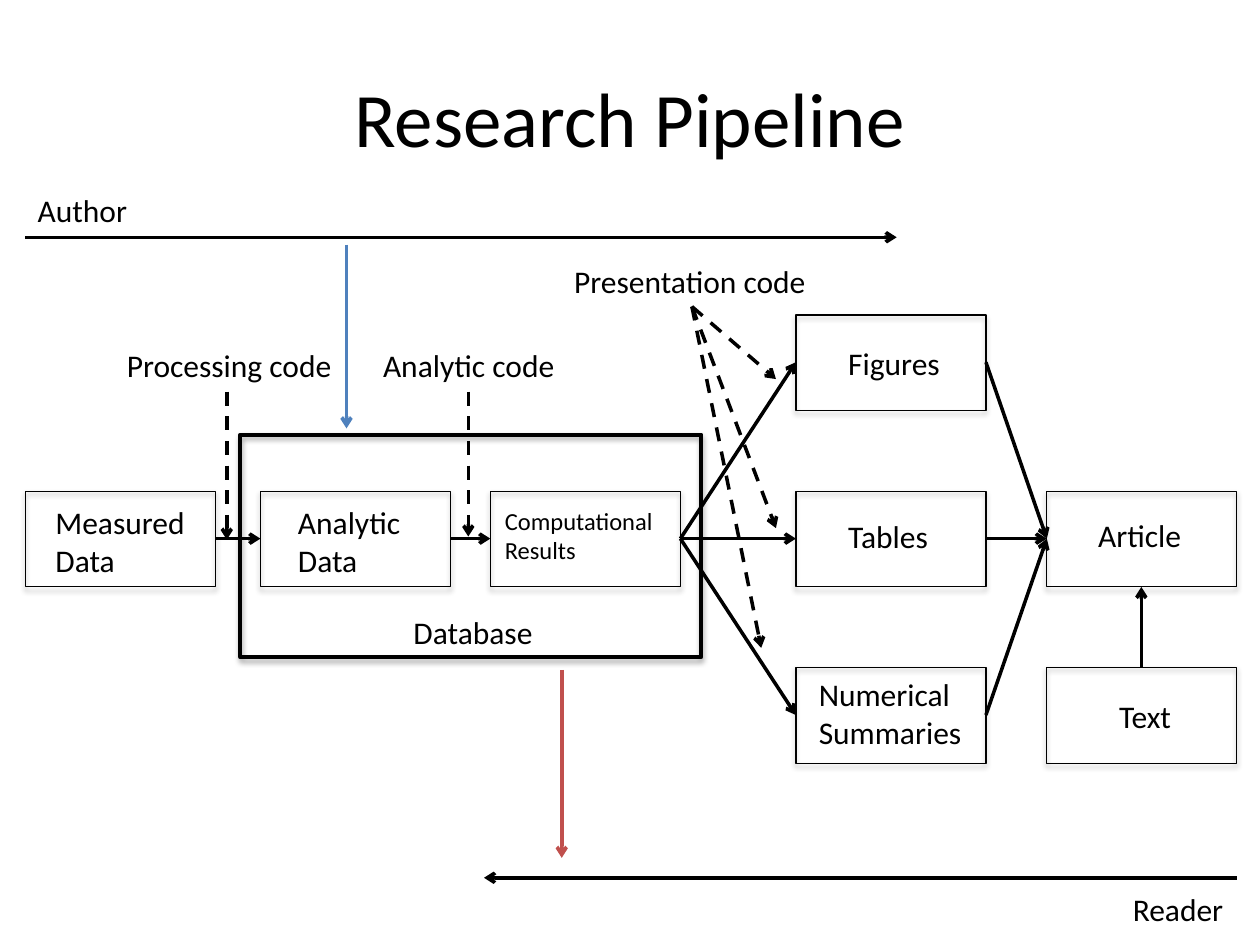
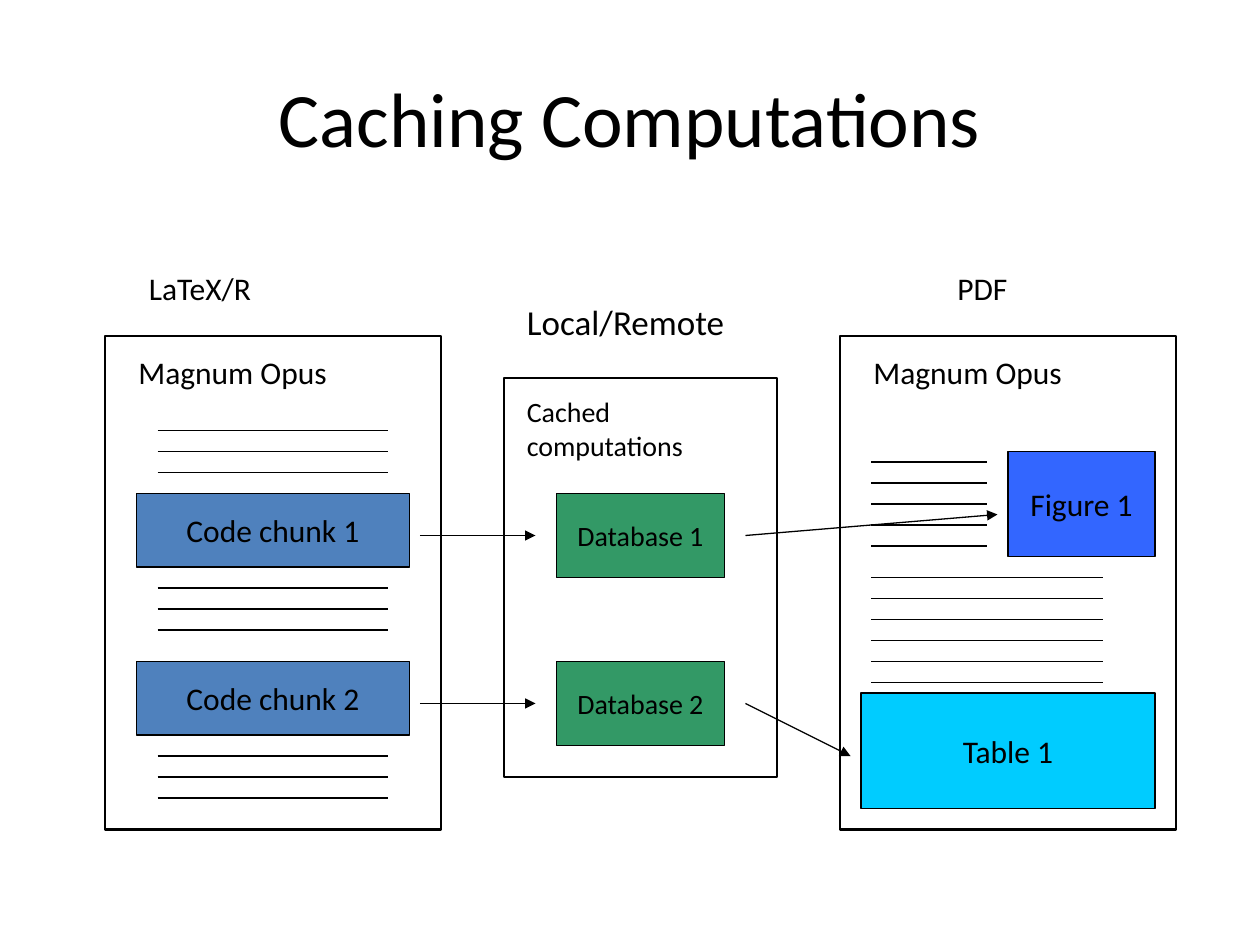
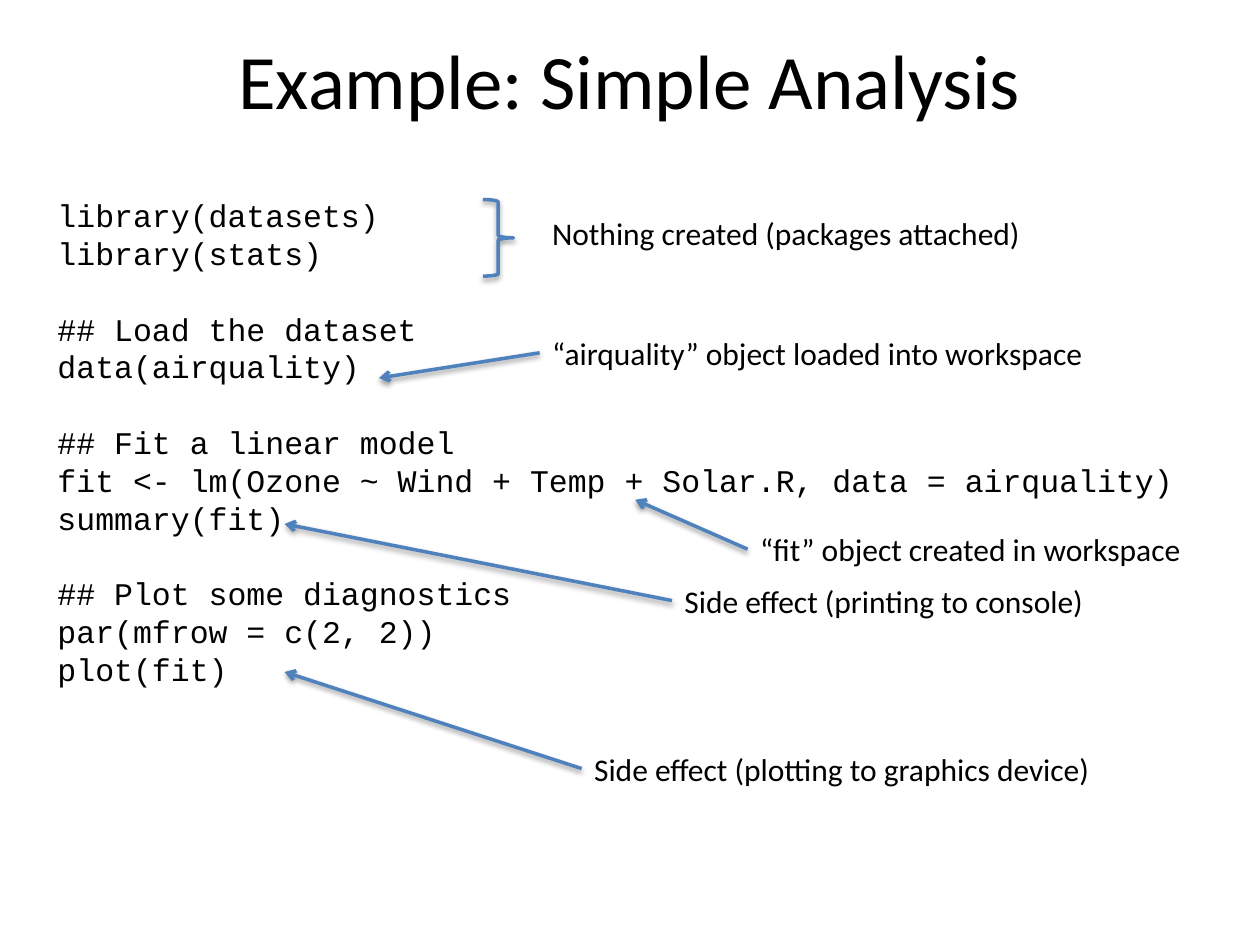
"""Builds three slides on reproducible research with python-pptx."""
from dataclasses import dataclass
from typing import NamedTuple, Optional

from lxml import etree
from pptx import Presentation
from pptx.dml.color import RGBColor
from pptx.enum.dml import MSO_LINE
from pptx.enum.shapes import MSO_CONNECTOR, MSO_SHAPE
from pptx.enum.text import MSO_ANCHOR, PP_ALIGN
from pptx.oxml.ns import qn
from pptx.util import Emu, Pt

STRAIGHT = MSO_CONNECTOR.STRAIGHT
RECT, BRACE = MSO_SHAPE.RECTANGLE, MSO_SHAPE.RIGHT_BRACE
DASH = MSO_LINE.DASH
LEFT, CENTER = PP_ALIGN.LEFT, PP_ALIGN.CENTER
TOP, MIDDLE = MSO_ANCHOR.TOP, MSO_ANCHOR.MIDDLE
EMU_PER_PX = 7620
BLANK = 6


@dataclass(frozen=True)
class Theme:
    """Colours, fonts, type sizes and line weights of the deck."""
    ink: str = "000000"
    blue: str = "4F81BD"
    red: str = "C0504D"
    green: str = "339966"
    royal: str = "3366FF"
    cyan: str = "00CCFF"
    font: str = "Calibri"
    mono: str = "Courier New"
    title: int = 44
    large: int = 20
    body: int = 18
    small: int = 16
    tiny: int = 14
    code_pitch: float = 21.6
    thin: float = 0.75
    medium: float = 1.5
    arrow: float = 2
    frame: float = 2.25
    box_shadow: int = 35
    note_shadow: int = 38


THEME = Theme()


class Label(NamedTuple):
    """A run of text in a box."""
    text: str
    x: int
    y: int
    w: int
    h: int = 48
    size: int = THEME.body


class Box(NamedTuple):
    """An outlined shape, with an optional fill, caption and shadow."""
    x: int
    y: int
    w: int
    h: int
    weight: float = THEME.thin
    fill: Optional[str] = None
    text: str = ""
    size: int = THEME.body
    color: str = THEME.ink
    shadow: int = 0
    kind: MSO_SHAPE = RECT


class Line(NamedTuple):
    """A straight line with an optional arrowhead at its end."""
    x1: int
    y1: int
    x2: int
    y2: int
    weight: float = THEME.arrow
    color: str = THEME.ink
    head: str = "arrow"
    dashed: bool = False
    shadow: int = 0


class Node(NamedTuple):
    """A pipeline stage: its corner and its label."""
    x: int
    y: int
    label: Label

    @property
    def mid_x(self) -> int:
        """Horizontal centre."""
        return self.x + NODE_W // 2

    @property
    def mid_y(self) -> int:
        """Vertical centre."""
        return self.y + NODE_H // 2


class Rules(NamedTuple):
    """A stack of evenly spaced lines standing for prose."""
    x: int
    y: int
    w: int
    count: int


class Note(NamedTuple):
    """A remark, and the point in the code its arrow reaches."""
    text: str
    x: int
    y: int
    w: int
    target: Optional[tuple[int, int]] = None


NODE_W, NODE_H = 181, 91
NODE_ROWS = [300 + 168 * i for i in range(3)]
RULE_PITCH = 20

NODES = {
    "measured": Node(24, NODE_ROWS[1], Label("Measured Data", 41, 473, 158, 85)),
    "analytic": Node(248, NODE_ROWS[1], Label("Analytic Data", 272, 473, 139, 85)),
    "results": Node(467, NODE_ROWS[1], Label("Computational Results", 469, 476, 175, 68, THEME.tiny)),
    "article": Node(997, NODE_ROWS[1], Label("Article", 1034, 486, 133)),
    "tables": Node(758, NODE_ROWS[1], Label("Tables", 796, 487, 113)),
    "figures": Node(758, NODE_ROWS[0], Label("Figures", 796, 322, 126)),
    "summaries": Node(758, NODE_ROWS[2], Label("Numerical Summaries", 768, 637, 175, 85)),
    "text": Node(997, NODE_ROWS[2], Label("Text", 1054, 658, 101)),
}
FLOWS = [
    ("measured", "analytic"), ("analytic", "results"),
    ("results", "figures"), ("results", "tables"), ("results", "summaries"),
    ("figures", "article"), ("summaries", "article"), ("tables", "article"),
]
PIPELINE_LABELS = [
    Label("Author", 24, 176, 114),
    Label("Reader", 1067, 842, 114),
    Label("Processing code", 109, 324, 224),
    Label("Analytic code", 353, 324, 194),
    Label("Presentation code", 535, 244, 250),
    Label("Database", 382, 578, 139),
]
CODE_ARROWS = [
    (216, 373, 216, 514), (446, 373, 446, 511),
    (659, 292, 739, 361), (659, 292, 739, 503), (659, 292, 725, 617),
]
READING_ARROWS = [
    Line(24, 226, 854, 226),
    Line(1178, 836, 461, 836),
    Line(330, 233, 330, 408, color=THEME.blue),
    Line(535, 638, 535, 817, color=THEME.red),
]

CACHE_BOXES = [
    *(Box(x, 320, 320, 470, THEME.medium) for x in (100, 800)),
    Box(480, 360, 260, 380, THEME.medium),
    Box(960, 430, 140, 100, fill=THEME.royal, text="Figure 1"),
    Box(820, 660, 280, 110, fill=THEME.cyan, text="Table 1"),
]
CACHE_ROWS = [470, 630]
CACHE_RULES = [
    *(Rules(150, y, 220, 3) for y in (410, 560, 720)),
    Rules(830, 440, 110, 5),
    Rules(830, 550, 220, 6),
]
CACHE_ARROWS = [
    *((400, y + 40, 510, y + 40) for y in CACHE_ROWS),
    (710, 510, 950, 490), (710, 670, 810, 720),
]
CACHE_LABELS = [
    *(Label("Magnum Opus", x, 330, 287, 60) for x in (120, 820)),
    Label("Cached computations", 490, 370, 240, 77, THEME.small),
    Label("LaTeX/R", 130, 250, 182, 60),
    Label("PDF", 900, 250, 104, 60),
    Label("Local/Remote", 490, 280, 229, 52, THEME.large),
]

CODE_BLOCKS = [
    ["library(datasets)", "library(stats)"],
    ["## Load the dataset", "data(airquality)"],
    ["## Fit a linear model",
     "fit <- lm(Ozone ~ Wind + Temp + Solar.R, data = airquality)",
     "summary(fit)"],
    ["## Plot some diagnostics", "par(mfrow = c(2, 2))", "plot(fit)"],
]
NOTES = [
    Note("Nothing created (packages attached)", 514, 198, 480),
    Note("“airquality” object loaded into workspace", 514, 312, 534, (361, 360)),
    Note("“fit” object created in workspace", 712, 499, 428, (605, 476)),
    Note("Side effect (printing to console)", 640, 548, 408, (271, 499)),
    Note("Side effect (plotting to graphics device)", 554, 708, 505, (271, 640)),
]


def px(*lengths: int) -> list[Emu]:
    """Turn px lengths into EMU."""
    return [Emu(n * EMU_PER_PX) for n in lengths]


def rgb(color: str) -> RGBColor:
    """Turn a hex string into a colour."""
    return RGBColor.from_string(color)


def set_effects(shape, alpha: int) -> None:
    """Give a shape a soft downward shadow, or none when alpha is zero."""
    effects = etree.SubElement(shape.element.spPr, qn("a:effectLst"))
    if alpha:
        shadow = etree.SubElement(effects, qn("a:outerShdw"), blurRad=str(Pt(3.1)),
                                  dist=str(Pt(1.8)), dir="5400000", rotWithShape="0")
        color = etree.SubElement(shadow, qn("a:srgbClr"), val=THEME.ink)
        etree.SubElement(color, qn("a:alpha"), val=str(alpha * 1000))


def format_paragraph(p, size: int, align: PP_ALIGN = LEFT, font: str = THEME.font) -> None:
    """Style one paragraph and its runs."""
    p.alignment = align
    for r in p.runs:
        r.font.size = Pt(size)
        r.font.name = font
        r.font.color.rgb = rgb(THEME.ink)


def add_label(s, label: Label, align: PP_ALIGN = LEFT, anchor: MSO_ANCHOR = TOP) -> None:
    """Draw a text label."""
    tf = s.shapes.add_textbox(*px(label.x, label.y, label.w, label.h)).text_frame
    tf.word_wrap = True
    tf.vertical_anchor = anchor
    tf.text = label.text
    format_paragraph(tf.paragraphs[0], label.size, align)


def add_box(s, box: Box) -> None:
    """Draw an outlined shape."""
    sp = s.shapes.add_shape(box.kind, *px(box.x, box.y, box.w, box.h))
    if box.fill:
        sp.fill.solid()
        sp.fill.fore_color.rgb = rgb(box.fill)
    else:
        sp.fill.background()
    sp.line.color.rgb = rgb(box.color)
    sp.line.width = Pt(box.weight)
    set_effects(sp, box.shadow)
    if box.text:
        tf = sp.text_frame
        tf.word_wrap = False
        tf.vertical_anchor = MIDDLE
        tf.text = box.text
        format_paragraph(tf.paragraphs[0], box.size, CENTER)


def add_line(s, line: Line) -> None:
    """Draw a line or an arrow."""
    c = s.shapes.add_connector(STRAIGHT, *px(line.x1, line.y1, line.x2, line.y2))
    c.line.color.rgb = rgb(line.color)
    c.line.width = Pt(line.weight)
    if line.dashed:
        c.line.dash_style = DASH
    if line.head:
        etree.SubElement(c.element.spPr.find(qn("a:ln")), qn("a:tailEnd"), type=line.head)
    set_effects(c, line.shadow)


def add_slide(prs, title: str, top: int = 36):
    """Add a blank slide with a centred title."""
    s = prs.slides.add_slide(prs.slide_layouts[BLANK])
    add_label(s, Label(title, 60, top, 1080, 150, THEME.title), CENTER, MIDDLE)
    return s


def build_pipeline(prs) -> None:
    """Slide with the path from data to article."""
    s = add_slide(prs, "Research Pipeline")
    for node in NODES.values():
        add_box(s, Box(node.x, node.y, NODE_W, NODE_H, shadow=THEME.box_shadow))
        add_label(s, node.label)
    for start, end in FLOWS:
        a, b = NODES[start], NODES[end]
        add_line(s, Line(a.x + NODE_W, a.mid_y, b.x, b.mid_y))
    text, article = NODES["text"], NODES["article"]
    add_line(s, Line(text.mid_x, text.y, article.mid_x, article.y + NODE_H))
    for ends in CODE_ARROWS:
        add_line(s, Line(*ends, dashed=True))
    for arrow in READING_ARROWS:
        add_line(s, arrow)
    add_box(s, Box(229, 414, 439, 212, THEME.frame, shadow=THEME.box_shadow))
    for label in PIPELINE_LABELS:
        add_label(s, label)


def build_caching(prs) -> None:
    """Slide with code chunks, cached databases and the finished document."""
    s = add_slide(prs, "Caching Computations")
    for box in CACHE_BOXES:
        add_box(s, box)
    for i, y in enumerate(CACHE_ROWS, 1):
        add_box(s, Box(130, y, 260, 70, fill=THEME.blue, text=f"Code chunk {i}"))
        add_box(s, Box(530, y, 160, 80, fill=THEME.green, text=f"Database {i}", size=THEME.small))
    for rules in CACHE_RULES:
        for i in range(rules.count):
            y = rules.y + i * RULE_PITCH
            add_line(s, Line(rules.x, y, rules.x + rules.w, y, THEME.thin, head=""))
    for ends in CACHE_ARROWS:
        add_line(s, Line(*ends, THEME.thin, head="triangle"))
    for label in CACHE_LABELS:
        add_label(s, label)


def add_code(s) -> None:
    """Draw the code listing, with a line of space between blocks."""
    tf = s.shapes.add_textbox(*px(43, 181, 1097, 485)).text_frame
    tf.word_wrap = True
    tf.text = "\n".join(line for block in CODE_BLOCKS for line in block)
    block_starts = [block[0] for block in CODE_BLOCKS[1:]]
    for p in tf.paragraphs:
        format_paragraph(p, THEME.body, font=THEME.mono)
        p.line_spacing = Pt(THEME.code_pitch)
        if p.text in block_starts:
            p.space_before = Pt(THEME.code_pitch)


def build_example(prs) -> None:
    """Slide with an annotated analysis script."""
    s = add_slide(prs, "Example: Simple Analysis", 0)
    add_code(s)
    add_box(s, Box(460, 190, 29, 73, THEME.arrow, color=THEME.blue,
                   shadow=THEME.note_shadow, kind=BRACE))
    for note in NOTES:
        add_label(s, Label(note.text, note.x, note.y, note.w))
        if note.target:
            add_line(s, Line(note.x, note.y + 24, *note.target, color=THEME.blue,
                             shadow=THEME.note_shadow))


def main() -> None:
    """Build and save the deck."""
    prs = Presentation()
    prs.slide_width, prs.slide_height = px(1200, 900)
    for build in (build_pipeline, build_caching, build_example):
        build(prs)
    prs.save("out.pptx")


if __name__ == "__main__":
    main()
